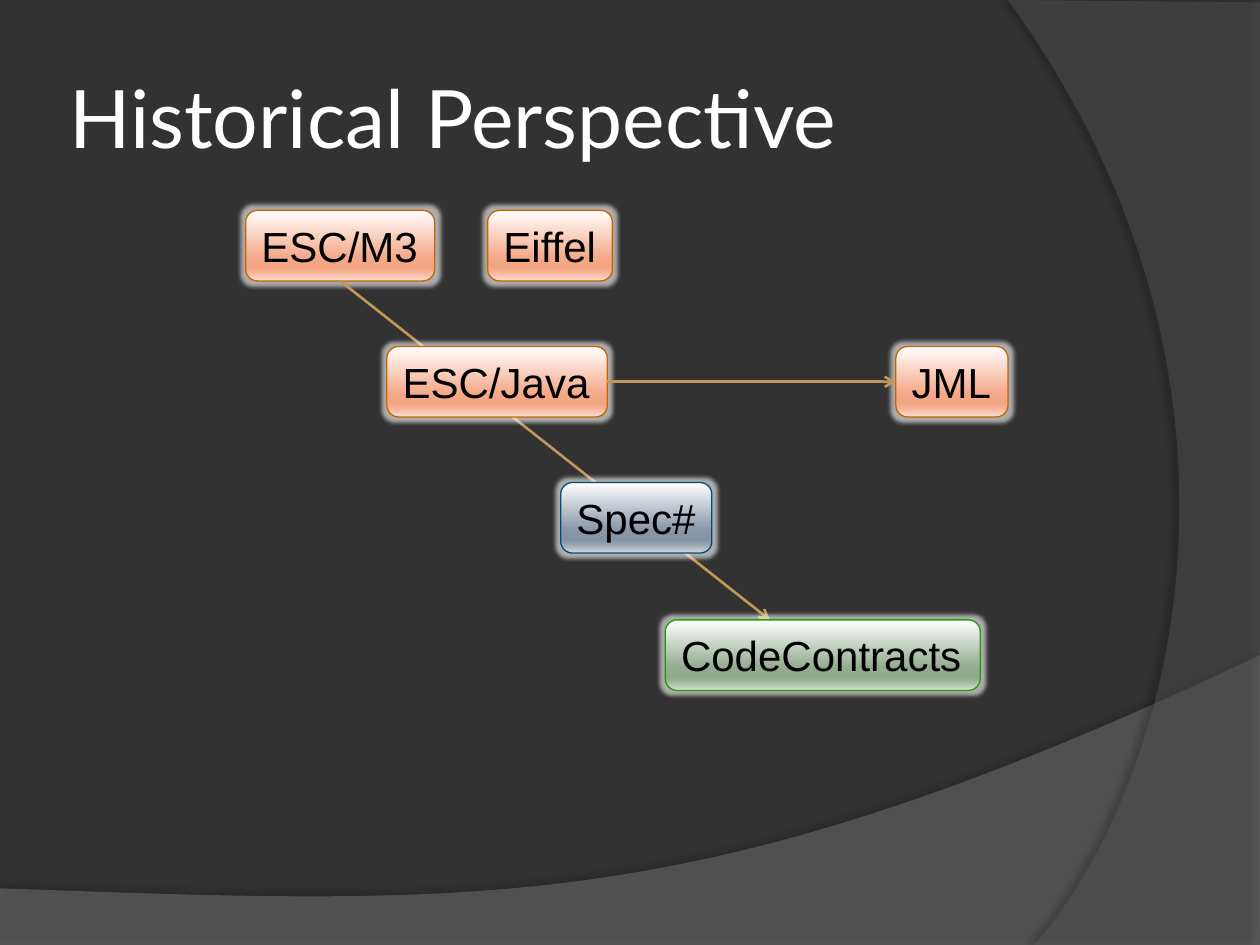
from lxml import etree
from pptx import Presentation
from pptx.dml.color import RGBColor
from pptx.enum.shapes import MSO_CONNECTOR, MSO_SHAPE
from pptx.enum.text import MSO_ANCHOR, MSO_AUTO_SIZE, PP_ALIGN
from pptx.oxml.ns import qn
from pptx.util import Pt

PX = 9144  # 100 px to the inch
STRAIGHT = MSO_CONNECTOR.STRAIGHT
ROUNDED = MSO_SHAPE.FLOWCHART_ALTERNATE_PROCESS
MIDDLE, LEFT = MSO_ANCHOR.MIDDLE, PP_ALIGN.LEFT
TOP_SIDE, LEFT_SIDE, BOTTOM_SIDE, RIGHT_SIDE = range(4)

COLORS = {
    "background": "323232", "swoosh": "7F7F7F", "arc": "5E5E5E",
    "shadow": "000000", "glow": "FFFFFF", "title": "FFFFFF",
    "label": "000000", "arrow": "C19859",
}
STOPS = (0, 68, 81, 86, 100)
BOX_STYLES = {  # outline, gradient colours
    "orange": ("C76600", ("FFFEFE", "F4A887", "F3A581", "F4AE90", "FADDD3")),
    "blue": ("004C79", ("FEFEFE", "8896A7", "8392A4", "919EAD", "D4D8DD")),
    "green": ("1D9F00", ("FEFEFE", "93AC8F", "8EA98A", "9BB198", "D7DED6")),
}


def rgb(name):
    return RGBColor.from_string(COLORS[name])


def add(parent, tag, **attrs):
    return etree.SubElement(parent, qn(tag), {k: str(v) for k, v in attrs.items()})


def add_color(parent, value, alpha=100):
    color = add(parent, "a:srgbClr", val=value)
    if alpha < 100:
        add(color, "a:alpha", val=alpha * 1000)


def write(tf, text, size, font, color, wrap=True):
    tf.word_wrap = wrap
    tf.vertical_anchor = MIDDLE
    p = tf.paragraphs[0]
    p.alignment = LEFT
    r = p.add_run()
    r.text = text
    r.font.size = Pt(size)
    r.font.name = font
    r.font.color.rgb = rgb(color)


def curve(p0, p1, p2, p3, steps=60):
    """Points along a cubic Bezier curve, both ends included."""
    points = []
    for i in range(steps + 1):
        t = i / steps
        u = 1 - t
        weights = (u ** 3, 3 * u * u * t, 3 * u * t * t, t ** 3)
        points.append(tuple(sum(w * p[axis] for w, p in zip(weights, (p0, p1, p2, p3)))
                            for axis in (0, 1)))
    return points


class Deck:
    def __init__(self, width, height):
        self.prs = Presentation()
        self.prs.slide_width, self.prs.slide_height = width * PX, height * PX
        self.s = self.prs.slides.add_slide(self.prs.slide_layouts[6])
        fill = self.s.background.fill
        fill.solid()
        fill.fore_color.rgb = rgb("background")

    def backdrop(self, points, color, alpha, shadow_alpha, distance, angle):
        (x, y), *rest = [(round(x * PX), round(y * PX)) for x, y in points]
        builder = self.s.shapes.build_freeform(x, y)
        builder.add_line_segments(rest, close=True)
        sp = builder.convert_to_shape()
        sp.fill.solid()
        sp.fill.fore_color.rgb = rgb(color)
        sp.line.fill.background()
        sp.shadow.inherit = False
        sp_pr = sp._element.spPr
        add(sp_pr.find(qn("a:solidFill"))[0], "a:alpha", val=alpha * 1000)
        shadow = add(sp_pr.find(qn("a:effectLst")), "a:outerShdw", blurRad=Pt(4),
                     dist=Pt(distance), dir=angle * 60000, rotWithShape=0)
        add_color(shadow, COLORS["shadow"], shadow_alpha)

    def title(self, text, x, y, w, h):
        tf = self.s.shapes.add_textbox(x * PX, y * PX, w * PX, h * PX).text_frame
        tf.margin_left = tf.margin_right = tf.margin_top = tf.margin_bottom = 5 * PX
        write(tf, text, size=46, font="Lato", color="title")

    def box(self, text, x, y, w, style="orange", h=56):
        outline, shades = BOX_STYLES[style]
        sp = self.s.shapes.add_shape(ROUNDED, x * PX, y * PX, w * PX, h * PX)
        sp.fill.gradient()
        sp.fill.gradient_angle = 270
        sp.line.color.rgb = RGBColor.from_string(outline)
        sp.line.width = Pt(0.75)
        sp.shadow.inherit = False
        sp_pr = sp._element.spPr
        stops = sp_pr.find(".//" + qn("a:gsLst"))
        for old in list(stops):
            stops.remove(old)
        for position, shade in zip(STOPS, shades):
            add_color(add(stops, "a:gs", pos=position * 1000), shade)
        glow = add(sp_pr.find(qn("a:effectLst")), "a:glow", rad=Pt(5))
        add_color(glow, COLORS["glow"], 60)
        write(sp.text_frame, text, size=24, font="Arial", color="label", wrap=False)
        sp.text_frame.auto_size = MSO_AUTO_SIZE.SHAPE_TO_FIT_TEXT
        return sp

    def arrow(self, start, side, end, end_side=None):
        """Arrow from a box side to another box side or to a point."""
        x, y = (0, 0) if end_side is not None else end
        c = self.s.shapes.add_connector(STRAIGHT, 0, 0, x * PX, y * PX)
        c.begin_connect(start, side)
        if end_side is not None:
            c.end_connect(end, end_side)
        c.line.color.rgb = rgb("arrow")
        c.line.width = Pt(1.5)
        sp_pr = c._element.spPr
        add(sp_pr.find(qn("a:ln")), "a:tailEnd", type="arrow")
        add(sp_pr, "a:effectLst")


def main():
    deck = Deck(1000, 750)

    # Background sweeps
    deck.backdrop([(0, 751), (1000, 751)]
                  + curve((1000, 520), (559, 729), (391, 719), (0, 705)),
                  "swoosh", 45, shadow_alpha=35, distance=3.5, angle=270)
    deck.backdrop([(1000, 2), (1000, 750)]
                  + curve((821, 750), (935, 619), (1018, 300), (800, 0)),
                  "arc", 40, shadow_alpha=45, distance=4, angle=180)

    deck.title("Historical Perspective", 50, 30, 817, 125)

    # Main lineage: the long arrow runs behind the boxes in between
    row1, row2, row3, row4 = range(167, 493, 108), None, None, None
    row1, row2, row3, row4 = (167 + 108 * i for i in range(3)), 275, 383, 492
    row1 = 167
    esc_m3 = deck.box("ESC/M3", 195, row1, 150)
    deck.arrow(esc_m3, BOTTOM_SIDE, (611, row4))
    esc_java = deck.box("ESC/Java", 307, row2, 175)
    deck.box("Spec#", 445, row3, 120, "blue")
    deck.box("CodeContracts", 528, row4, 250, "green")

    # Related languages
    jml = deck.box("JML", 711, row2, 89)
    deck.arrow(esc_java, RIGHT_SIDE, jml, LEFT_SIDE)
    deck.box("Eiffel", 387, row1, 99)

    deck.prs.save("out.pptx")


if __name__ == "__main__":
    main()
